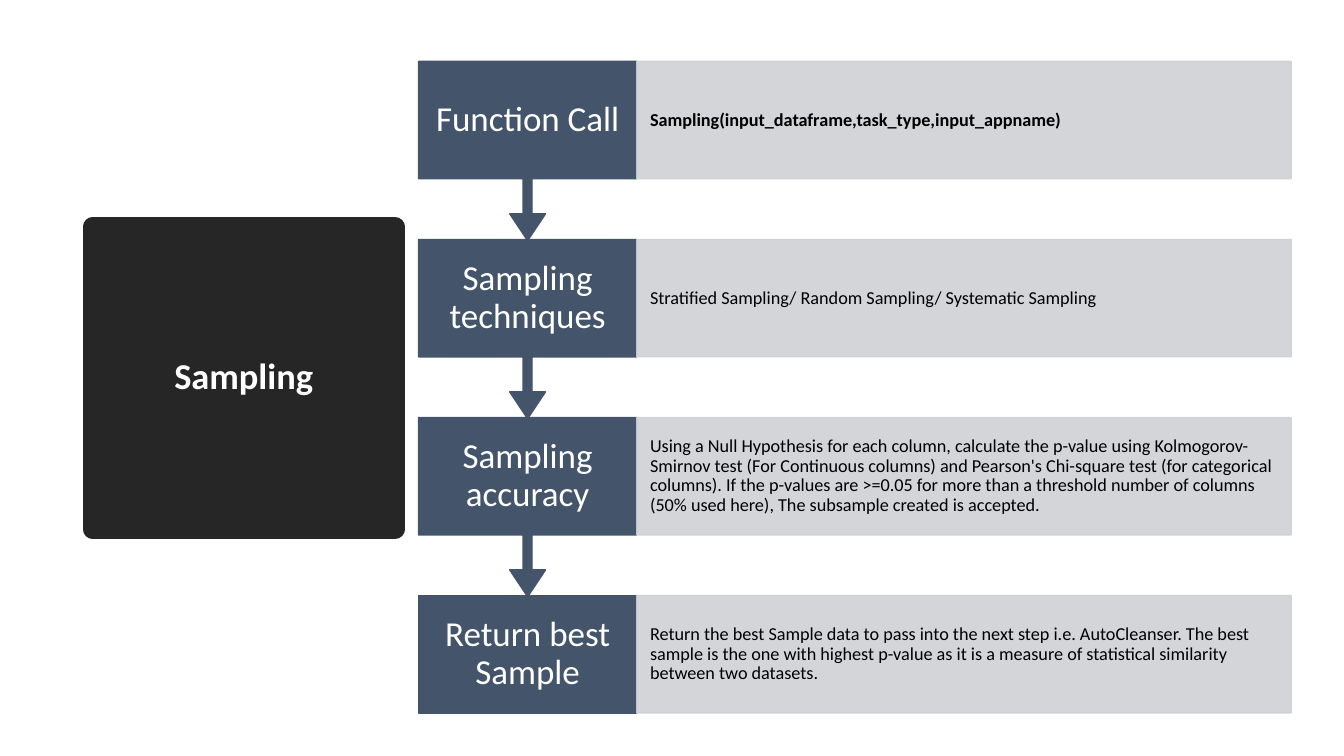
from lxml import etree
from pptx import Presentation
from pptx.dml.color import RGBColor
from pptx.enum.shapes import MSO_SHAPE
from pptx.enum.text import MSO_ANCHOR, PP_ALIGN
from pptx.oxml.ns import qn
from pptx.util import Pt

RECTANGLE = MSO_SHAPE.RECTANGLE
ARROW_CALLOUT = MSO_SHAPE.DOWN_ARROW_CALLOUT
MIDDLE = MSO_ANCHOR.MIDDLE
LEFT, CENTER = PP_ALIGN.LEFT, PP_ALIGN.CENTER

STEP_LEFT, STEP_WIDTH = 299, 155.8
DETAIL_LEFT, DETAIL_WIDTH = 454.9, 467.4
FIRST_TOP, ROW_PITCH, ROW_HEIGHT = 43.9, 127.2, 83.8
CALLOUT_HEIGHT = 128

STEPS = [
    ("Function Call", "Sampling(input_dataframe,task_type,input_appname)"),
    ("Sampling techniques",
     "Stratified Sampling/ Random Sampling/ Systematic Sampling"),
    ("Sampling accuracy",
     "Using a Null Hypothesis for each column, calculate the p-value using "
     "Kolmogorov-Smirnov test (For Continuous columns) and Pearson's Chi-square "
     "test (for categorical columns). If the p-values are >=0.05 for more than a "
     "threshold number of columns (50% used here), The subsample created is accepted."),
    ("Return best Sample",
     "Return the best Sample data to pass into the next step i.e. AutoCleanser. "
     "The best sample is the one with highest p-value as it is a measure of "
     "statistical similarity between two datasets."),
]


def rgb(value):
    return RGBColor.from_string(value)


class SlideBuilder:
    font_name = "Calibri"
    dark, blue, gray = "262626", "44546A", "CFD1D4"
    white, black = "FFFFFF", "000000"

    def __init__(self, slide):
        self.slide = slide

    def paint(self, shape, color, line_width=1, opacity=100):
        """Give fill and outline the same colour and opacity."""
        shape.fill.solid()
        shape.fill.fore_color.rgb = rgb(color)
        shape.line.color.rgb = rgb(color)
        shape.line.width = Pt(line_width)
        if opacity < 100:
            for element in shape._element.spPr.iter(qn("a:srgbClr")):
                etree.SubElement(element, qn("a:alpha"), val=str(opacity * 1000))

    def set_text(self, shape, text, size, color, align, bold=False):
        text_frame = shape.text_frame
        text_frame.text = text
        text_frame.word_wrap = True
        text_frame.vertical_anchor = MIDDLE
        paragraph = text_frame.paragraphs[0]
        paragraph.alignment = align
        paragraph.line_spacing = 0.9
        font = paragraph.runs[0].font
        font.name = self.font_name
        font.size = Pt(size)
        font.bold = bold
        font.color.rgb = rgb(color)

    def title(self, text, left, top, size):
        shape = self.slide.shapes.title
        shape.left, shape.top = Pt(left), Pt(top)
        shape.width = shape.height = Pt(size)
        self.paint(shape, self.dark, line_width=13.75)
        self.set_text(shape, text, 26, self.white, CENTER, bold=True)

    def box(self, kind, left, top, width, height, inset):
        shape = self.slide.shapes.add_shape(
            kind, Pt(left), Pt(top), Pt(width), Pt(height))
        shape.shadow.inherit = False
        shape.text_frame.margin_left = shape.text_frame.margin_right = Pt(inset)
        return shape

    def step(self, text, top, has_arrow):
        kind, height = RECTANGLE, ROW_HEIGHT
        if has_arrow:
            kind, height = ARROW_CALLOUT, CALLOUT_HEIGHT
        shape = self.box(kind, STEP_LEFT, top, STEP_WIDTH, height, 10)
        if has_arrow:
            proportions = (0.05, 0.1, 0.15, ROW_HEIGHT / CALLOUT_HEIGHT)
            for index, proportion in enumerate(proportions):
                shape.adjustments[index] = proportion
        self.paint(shape, self.blue)
        self.set_text(shape, text, 25, self.white, CENTER)

    def detail(self, text, top, bold):
        shape = self.box(RECTANGLE, DETAIL_LEFT, top, DETAIL_WIDTH, ROW_HEIGHT, 9.4)
        self.paint(shape, self.gray, opacity=90)
        self.set_text(shape, text, 13, self.black, LEFT, bold)


def main():
    presentation = Presentation()
    presentation.slide_width, presentation.slide_height = Pt(960), Pt(540)
    slide = presentation.slides.add_slide(presentation.slide_layouts[5])
    builder = SlideBuilder(slide)
    builder.title("Sampling", 66.2, 162, 216)
    # Bottom row first, so that each arrow tip lies over the row below it
    for index, (step, detail) in reversed(list(enumerate(STEPS))):
        top = FIRST_TOP + index * ROW_PITCH
        builder.step(step, top, has_arrow=index < len(STEPS) - 1)
        builder.detail(detail, top, bold=index == 0)
    presentation.save("out.pptx")


if __name__ == "__main__":
    main()
